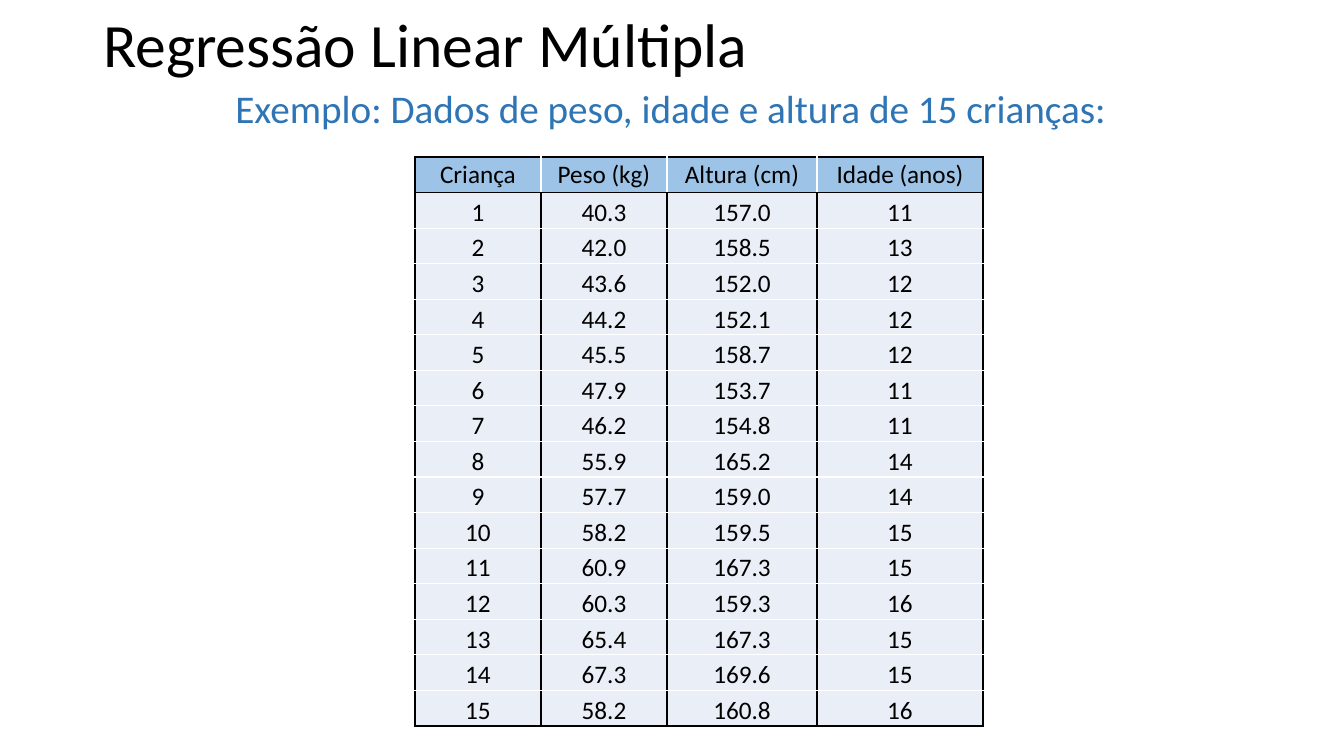
from dataclasses import dataclass

from lxml import etree
from pptx import Presentation
from pptx.dml.color import RGBColor
from pptx.enum.text import MSO_ANCHOR, MSO_AUTO_SIZE, PP_ALIGN
from pptx.oxml.ns import qn
from pptx.util import Pt

LEFT, CENTER = PP_ALIGN.LEFT, PP_ALIGN.CENTER
TOP, MIDDLE, BOTTOM = MSO_ANCHOR.TOP, MSO_ANCHOR.MIDDLE, MSO_ANCHOR.BOTTOM
NO_AUTOFIT = MSO_AUTO_SIZE.NONE
EMU_PER_PIXEL = 914400 / 100.8


@dataclass(frozen=True)
class Theme:
    font: str = "Calibri"
    ink: str = "000000"
    accent: str = "2E75B6"
    header_fill: str = "9DC3E6"
    body_fill: str = "EAEFF7"
    grid: str = "FFFFFF"
    title_size: int = 44
    subtitle_size: int = 28
    table_size: int = 18
    border_width: int = 1


THEME = Theme()
HEADINGS = ("Criança", "Peso (kg)", "Altura (cm)", "Idade (anos)")
CHILDREN = (
    (40.3, 157.0, 11),
    (42.0, 158.5, 13),
    (43.6, 152.0, 12),
    (44.2, 152.1, 12),
    (45.5, 158.7, 12),
    (47.9, 153.7, 11),
    (46.2, 154.8, 11),
    (55.9, 165.2, 14),
    (57.7, 159.0, 14),
    (58.2, 159.5, 15),
    (60.9, 167.3, 15),
    (60.3, 159.3, 16),
    (65.4, 167.3, 15),
    (67.3, 169.6, 15),
    (58.2, 160.8, 16),
)
COLUMN_WIDTHS = (126, 126, 150, 166)
TABLE_HEIGHT = 569


def px(pixels):
    return round(pixels * EMU_PER_PIXEL)


def apply(target, values):
    for attribute, value in values.items():
        setattr(target, attribute, value)


def write(frame, text, size, color, **paragraph_format):
    frame.text = text
    paragraph = frame.paragraphs[0]
    apply(paragraph, paragraph_format)
    font = paragraph.runs[0].font
    apply(font, {"name": THEME.font, "size": Pt(size), "bold": False})
    font.color.rgb = RGBColor.from_string(color)


def place_title(slide, text):
    title = slide.shapes.title
    apply(title, {"left": px(93), "top": px(-25), "width": px(1159), "height": px(146)})
    apply(title.text_frame, {"word_wrap": True, "auto_size": NO_AUTOFIT,
                             "vertical_anchor": MIDDLE})
    write(title.text_frame, text, THEME.title_size, THEME.ink,
          alignment=LEFT, line_spacing=0.9)


def add_subtitle(slide, text):
    subtitle = slide.shapes.add_textbox(px(28), px(85), px(1285), px(73))
    apply(subtitle.text_frame, {"word_wrap": True, "auto_size": NO_AUTOFIT,
                                "vertical_anchor": TOP})
    write(subtitle.text_frame, text, THEME.subtitle_size, THEME.accent,
          alignment=CENTER, line_spacing=0.9, space_before=Pt(10))


def set_borders(cell, **colors):
    properties = cell._tc.get_or_add_tcPr()
    for position, side in enumerate("LRTB"):
        line = etree.Element(qn(f"a:ln{side}"), w=str(Pt(THEME.border_width)))
        fill = etree.SubElement(line, qn("a:solidFill"))
        etree.SubElement(fill, qn("a:srgbClr"), val=colors[side])
        properties.insert(position, line)


def format_cell(cell, text, is_header, is_first, is_last, on_left, on_right):
    apply(cell, {"margin_left": px(1), "margin_right": px(1), "margin_top": px(1),
                 "margin_bottom": 0, "vertical_anchor": MIDDLE if is_header else BOTTOM})
    write(cell.text_frame, text, THEME.table_size, THEME.ink, alignment=CENTER)
    cell.fill.solid()
    cell.fill.fore_color.rgb = RGBColor.from_string(
        THEME.header_fill if is_header else THEME.body_fill)

    def edge(is_dark):
        return THEME.ink if is_dark else THEME.grid

    set_borders(cell, L=edge(on_left or not is_header), R=edge(on_right or not is_header),
                T=edge(is_header or is_first), B=edge(is_header or is_last))


def add_children_table(slide):
    rows = [HEADINGS] + [
        (str(number), f"{weight:.1f}", f"{height:.1f}", str(age))
        for number, (weight, height, age) in enumerate(CHILDREN, 1)]
    table = slide.shapes.add_table(len(rows), len(HEADINGS), px(415), px(157),
                                   px(sum(COLUMN_WIDTHS)), px(TABLE_HEIGHT)).table
    for column, width in zip(table.columns, COLUMN_WIDTHS):
        column.width = px(width)
    last_row, last_column = len(rows) - 1, len(HEADINGS) - 1
    for r, values in enumerate(rows):
        table.rows[r].height = px(TABLE_HEIGHT / len(rows))
        for c, text in enumerate(values):
            format_cell(table.cell(r, c), text, is_header=r == 0, is_first=r == 1,
                        is_last=r == last_row, on_left=c == 0, on_right=c == last_column)


def main():
    presentation = Presentation()
    apply(presentation, {"slide_width": px(1344), "slide_height": px(756)})
    title_only = presentation.slide_layouts.get_by_name("Title Only")
    slide = presentation.slides.add_slide(title_only)
    place_title(slide, "Regressão Linear Múltipla")
    add_subtitle(slide, "Exemplo: Dados de peso, idade e altura de 15 crianças:")
    add_children_table(slide)
    presentation.save("out.pptx")


main()
